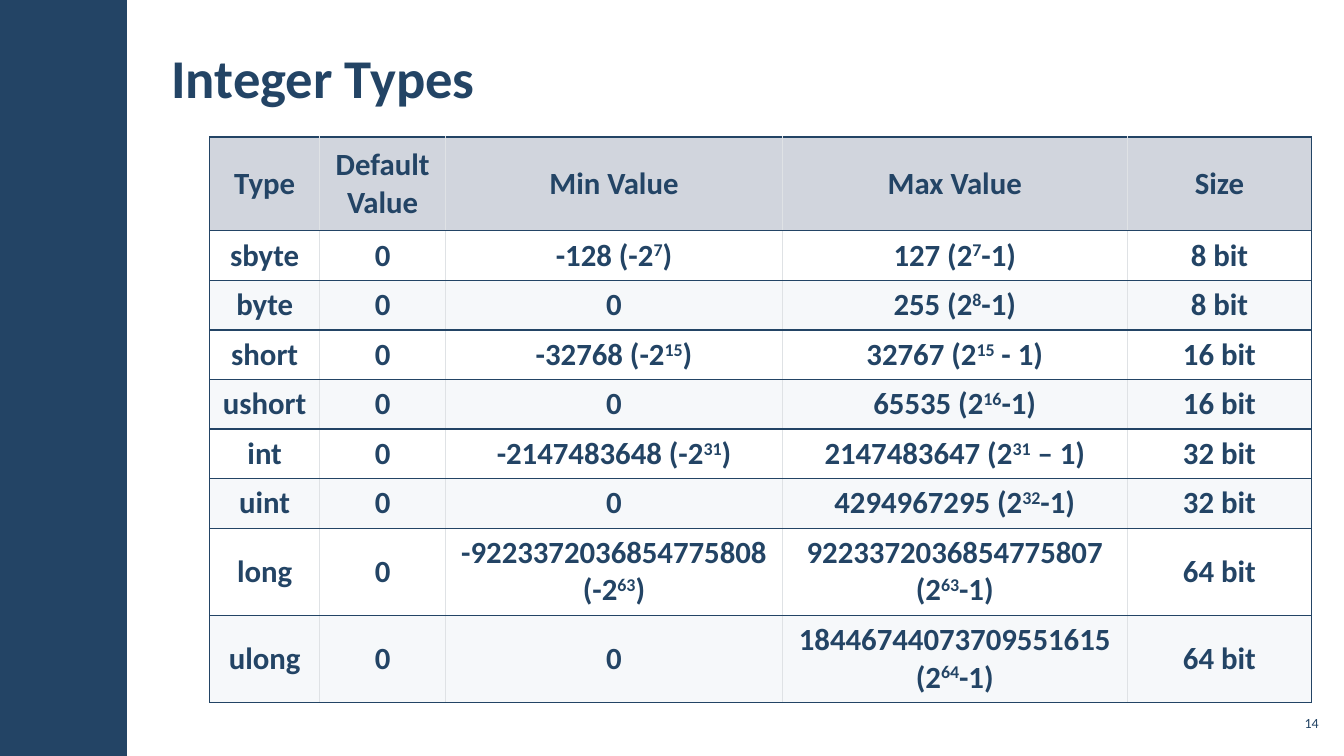
from dataclasses import dataclass

from lxml import etree
from pptx import Presentation
from pptx.dml.color import RGBColor
from pptx.enum.shapes import MSO_SHAPE
from pptx.enum.text import MSO_ANCHOR, MSO_AUTO_SIZE, PP_ALIGN
from pptx.oxml.ns import qn
from pptx.util import Inches, Pt

RECT = MSO_SHAPE.RECTANGLE
MIDDLE = MSO_ANCHOR.MIDDLE
NO_FIT = MSO_AUTO_SIZE.NONE
LEFT, CENTER, RIGHT = PP_ALIGN.LEFT, PP_ALIGN.CENTER, PP_ALIGN.RIGHT


@dataclass(frozen=True)
class Theme:
    font: str = "Calibri"
    navy: str = "234465"
    header: str = "D1D5DD"
    white: str = "FFFFFF"
    stripe: str = "F6F8FA"
    grid: str = "DFE2E5"
    title_size: int = 39
    cell_size: int = 22
    number_size: int = 10


THEME = Theme()


def add_text(p, text, size, bold, align):
    """Write text into a paragraph; ^..^ marks superscript, | a line break."""
    p.alignment = align
    for i, line in enumerate(text.split("|")):
        if i:
            p.add_line_break()
        for j, part in enumerate(line.split("^")):
            r = p.add_run()
            r.text = part
            r.font.name = THEME.font
            r.font.size = Pt(size)
            r.font.bold = bold
            r.font.color.rgb = RGBColor.from_string(THEME.navy)
            if j % 2:
                r.font._element.set("baseline", "30000")


def add_border(cell, side, color, width):
    tc_pr = cell._tc.get_or_add_tcPr()
    ln = etree.SubElement(tc_pr, qn(f"a:ln{side}"), w=str(Pt(width)))
    fill = etree.SubElement(ln, qn("a:solidFill"))
    etree.SubElement(fill, qn("a:srgbClr"), val=color)


prs = Presentation()
prs.slide_width, prs.slide_height = Inches(13.33), Inches(7.5)
s = prs.slides.add_slide(prs.slide_layouts[5])

# Side band
band = s.shapes.add_shape(RECT, 0, 0, Inches(1.26), prs.slide_height)
band.shadow.inherit = False
band.fill.solid()
band.fill.fore_color.rgb = RGBColor.from_string(THEME.navy)
band.line.fill.background()

# Title
title = s.shapes.title
title.left, title.top = Inches(1.58), Inches(0.28)
title.width, title.height = Inches(9.18), Inches(0.97)
tf = title.text_frame
tf.auto_size = NO_FIT
tf.vertical_anchor = MIDDLE
tf.margin_left = tf.margin_right = Inches(0.12)
tf.margin_top = tf.margin_bottom = Inches(0.04)
add_text(tf.paragraphs[0], "Integer Types", THEME.title_size, True, LEFT)

# Table of integer types
rows = [
    ("Type", "Default|Value", "Min Value", "Max Value", "Size"),
    ("sbyte", "0", "-128 (-2^7^)", "127 (2^7^-1)", "8 bit"),
    ("byte", "0", "0", "255 (2^8^-1)", "8 bit"),
    ("short", "0", "-32768 (-2^15^)", "32767 (2^15^ - 1)", "16 bit"),
    ("ushort", "0", "0", "65535 (2^16^-1)", "16 bit"),
    ("int", "0", "-2147483648 (-2^31^)", "2147483647 (2^31^ – 1)", "32 bit"),
    ("uint", "0", "0", "4294967295 (2^32^-1)", "32 bit"),
    ("long", "0", "-9223372036854775808\n(-2^63^)",
     "9223372036854775807\n(2^63^-1)", "64 bit"),
    ("ulong", "0", "0", "18446744073709551615\n(2^64^-1)", "64 bit"),
]
col_widths = [1.09, 1.25, 3.34, 3.42, 1.83]
row_heights = [0.93] + [0.46] * 6 + [0.79] * 2

table = s.shapes.add_table(len(rows), len(col_widths), Inches(2.08), Inches(1.36),
                           Inches(10.93), Inches(5.5)).table
table.first_row = table.horz_banding = False
for col, width in zip(table.columns, col_widths):
    col.width = Inches(width)

outer, inner = (THEME.navy, 1), (THEME.grid, 0.75)
last_col = len(col_widths) - 1
for i, values in enumerate(rows):
    table.rows[i].height = Inches(row_heights[i])
    fill = THEME.header if i == 0 else THEME.white if i % 2 else THEME.stripe
    for j, value in enumerate(values):
        cell = table.cell(i, j)
        cell.vertical_anchor = MIDDLE
        cell.margin_left = cell.margin_right = Inches(0.12)
        cell.margin_top = cell.margin_bottom = Inches(0.06)
        add_border(cell, "L", *(outer if j == 0 else inner))
        add_border(cell, "R", *(outer if j == last_col else inner))
        add_border(cell, "T", *outer)
        add_border(cell, "B", *outer)
        cell.fill.solid()
        cell.fill.fore_color.rgb = RGBColor.from_string(fill)
        tf = cell.text_frame
        for k, line in enumerate(value.split("\n")):
            p = tf.add_paragraph() if k else tf.paragraphs[0]
            add_text(p, line, THEME.cell_size, True, CENTER)

# Slide number
number = s.shapes.add_textbox(Inches(12.65), Inches(7), Inches(0.47), Inches(0.34))
tf = number.text_frame
tf.word_wrap = True
tf.vertical_anchor = MIDDLE
tf.margin_left = tf.margin_right = tf.margin_top = tf.margin_bottom = Inches(0.04)
add_text(tf.paragraphs[0], "14", THEME.number_size, False, RIGHT)

prs.save("out.pptx")
